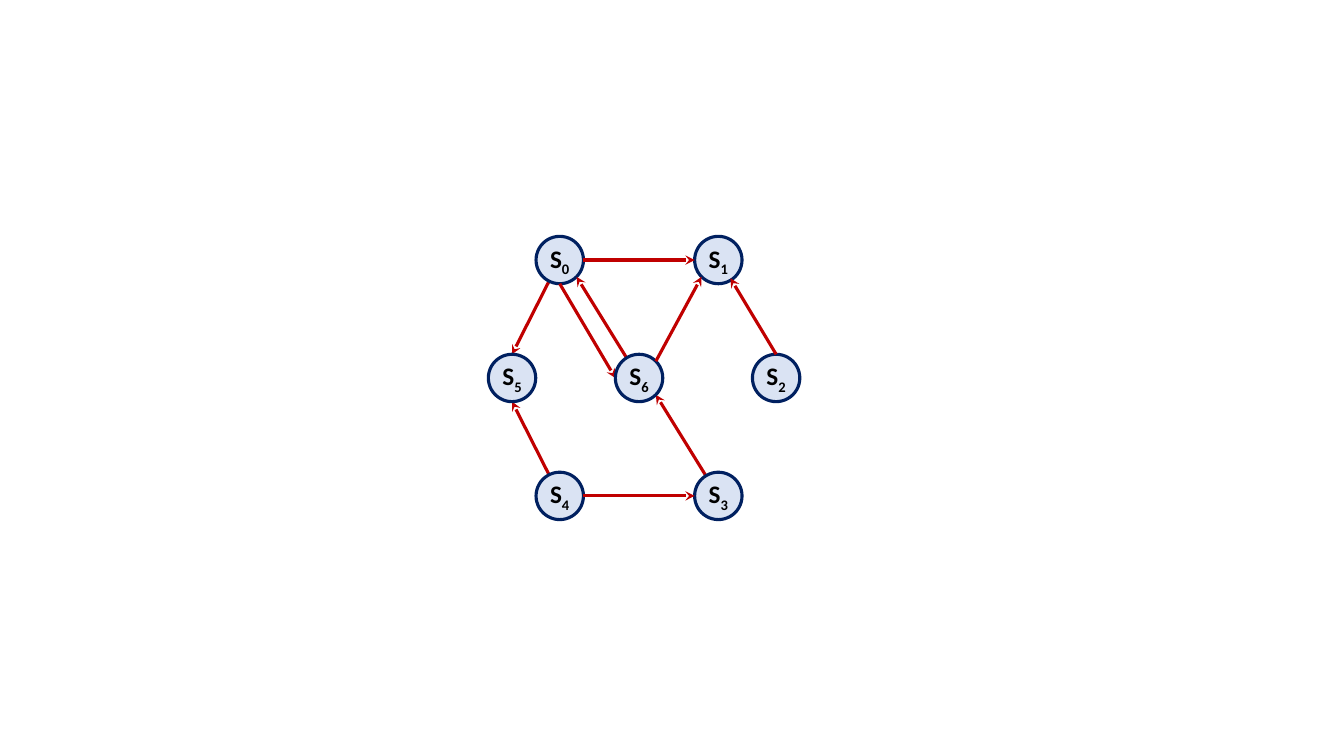
from lxml import etree
from pptx import Presentation
from pptx import util as u
from pptx.dml.color import RGBColor
from pptx.enum import shapes, text
from pptx.oxml.ns import qn

SLIDE_WIDTH, SLIDE_HEIGHT = 13.33, 7.5
COLORS = {"state": "DAE3F3", "ring": "002060", "arrow": "C00000", "label": "000000"}

STATES = {
    0: ("inner left", "top"),
    1: ("inner right", "top"),
    2: ("far right", "middle"),
    3: ("inner right", "bottom"),
    4: ("inner left", "bottom"),
    5: ("far left", "middle"),
    6: ("center", "middle"),
}
PORTS = {
    "center": (0, 0), "top": (0, -1), "bottom": (0, 1), "left": (-1, 0), "right": (1, 0),
    "upper right": (0.71, -0.71), "lower right": (0.71, 0.71),
    "lower left": (-0.71, 0.71), "steep lower right": (0.51, 0.77),
}
LAYERS = [
    ([(3, "center", 6, "lower right"),
      (4, "center", 5, "bottom"),
      (0, "center", 5, "top")],
     [0, 1, 2, 3, 4, 5]),
    ([(0, "right", 1, "left"),
      (0, "bottom", 6, "left"),
      (4, "right", 3, "left"),
      (2, "top", 1, "steep lower right"),
      (6, "center", 0, "lower right")],
     [6]),
    ([(6, "upper right", 1, "lower left")], []),
]

DIAMETER = 0.47
ROW_STEP = 1.17
MIDDLE_ROW = SLIDE_HEIGHT / 2
ROWS = {name: MIDDLE_ROW + step * ROW_STEP
        for name, step in (("top", -1), ("middle", 0), ("bottom", 1))}
COLUMNS = {name: share * SLIDE_WIDTH for name, share in (
    ("far left", 0.381), ("inner left", 0.4165), ("center", 0.4755),
    ("inner right", 0.5345), ("far right", 0.5775))}
FRAME_FORMAT = {
    "margin_left": 0, "margin_right": 0, "margin_top": 0, "margin_bottom": 0,
    "vertical_anchor": text.MSO_ANCHOR.MIDDLE, "word_wrap": False,
}
FONT_FORMAT = {"name": "Calibri", "size": u.Pt(18), "bold": True}


def set_format(target, values):
    for attribute, value in values.items():
        setattr(target, attribute, value)


def color(name):
    return RGBColor.from_string(COLORS[name])


def set_line(line, name):
    line.color.rgb = color(name)
    line.width = u.Pt(2.25)


def port_point(state, port):
    column, row = STATES[state]
    dx, dy = PORTS[port]
    return (u.Inches(COLUMNS[column] + dx * DIAMETER / 2),
            u.Inches(ROWS[row] + dy * DIAMETER / 2))


def draw_transition(slide, source, exit_port, target, entry_port):
    arrow = slide.shapes.add_connector(
        shapes.MSO_CONNECTOR.STRAIGHT,
        *port_point(source, exit_port), *port_point(target, entry_port))
    set_line(arrow.line, "arrow")
    etree.SubElement(arrow.line._get_or_add_ln(), qn("a:tailEnd"), type="stealth")
    etree.SubElement(arrow._element.spPr, qn("a:effectLst"))


def draw_state(slide, number):
    x, y = port_point(number, "center")
    size = u.Inches(DIAMETER)
    circle = slide.shapes.add_shape(
        shapes.MSO_SHAPE.OVAL, x - size // 2, y - size // 2, size, size)
    circle.shadow.inherit = False
    circle.fill.solid()
    circle.fill.fore_color.rgb = color("state")
    set_line(circle.line, "ring")
    set_format(circle.text_frame, FRAME_FORMAT)
    label = circle.text_frame.paragraphs[0]
    label.alignment = text.PP_ALIGN.CENTER
    for part in ("S", str(number)):
        run = label.add_run()
        run.text = part
        set_format(run.font, FONT_FORMAT)
        run.font.color.rgb = color("label")
    run.font._element.set("baseline", "-25000")


def main():
    deck = Presentation()
    deck.slide_width = u.Inches(SLIDE_WIDTH)
    deck.slide_height = u.Inches(SLIDE_HEIGHT)
    slide = deck.slides.add_slide(deck.slide_layouts[6])
    for transitions, states in LAYERS:
        for transition in transitions:
            draw_transition(slide, *transition)
        for number in states:
            draw_state(slide, number)
    deck.save("out.pptx")


if __name__ == "__main__":
    main()
